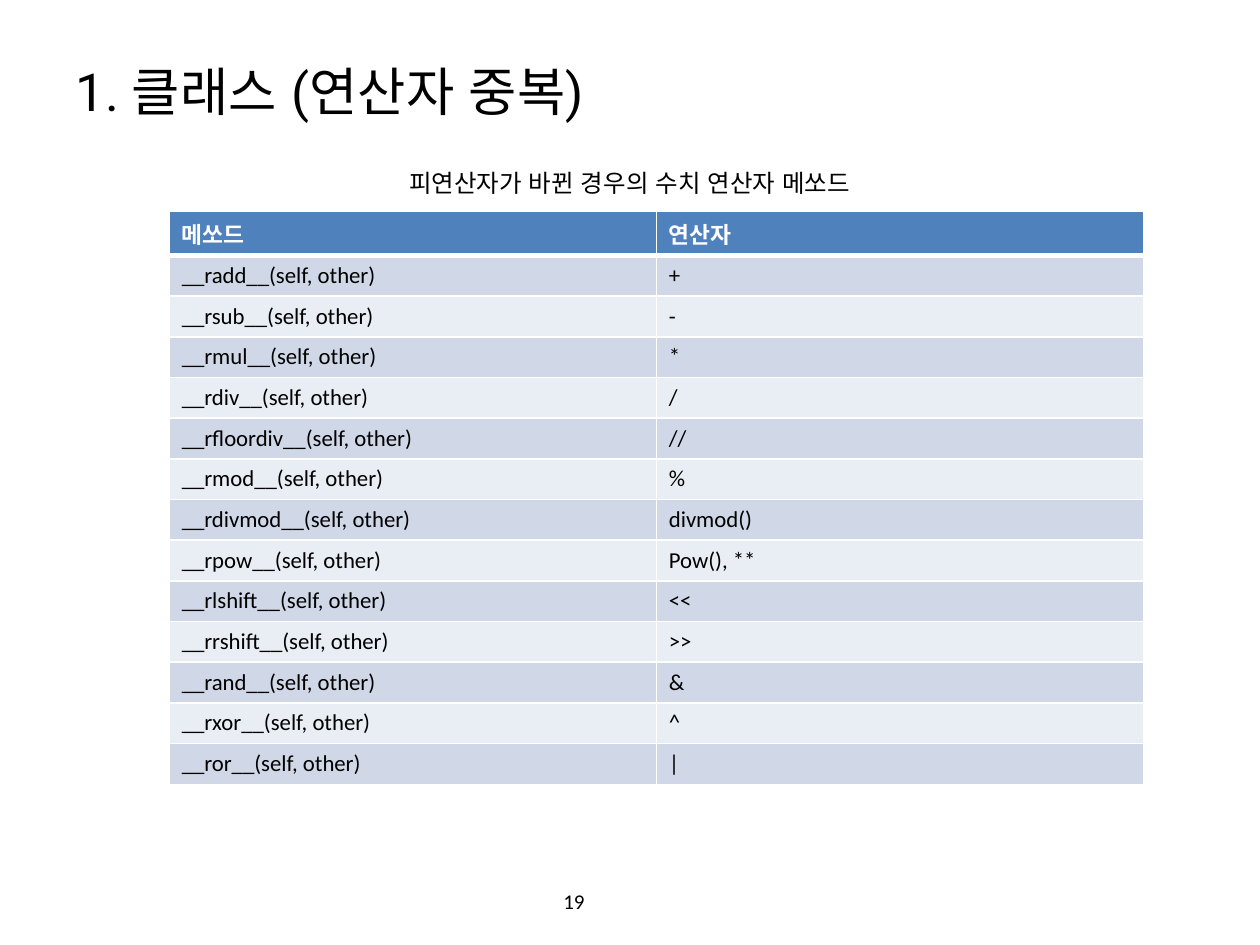
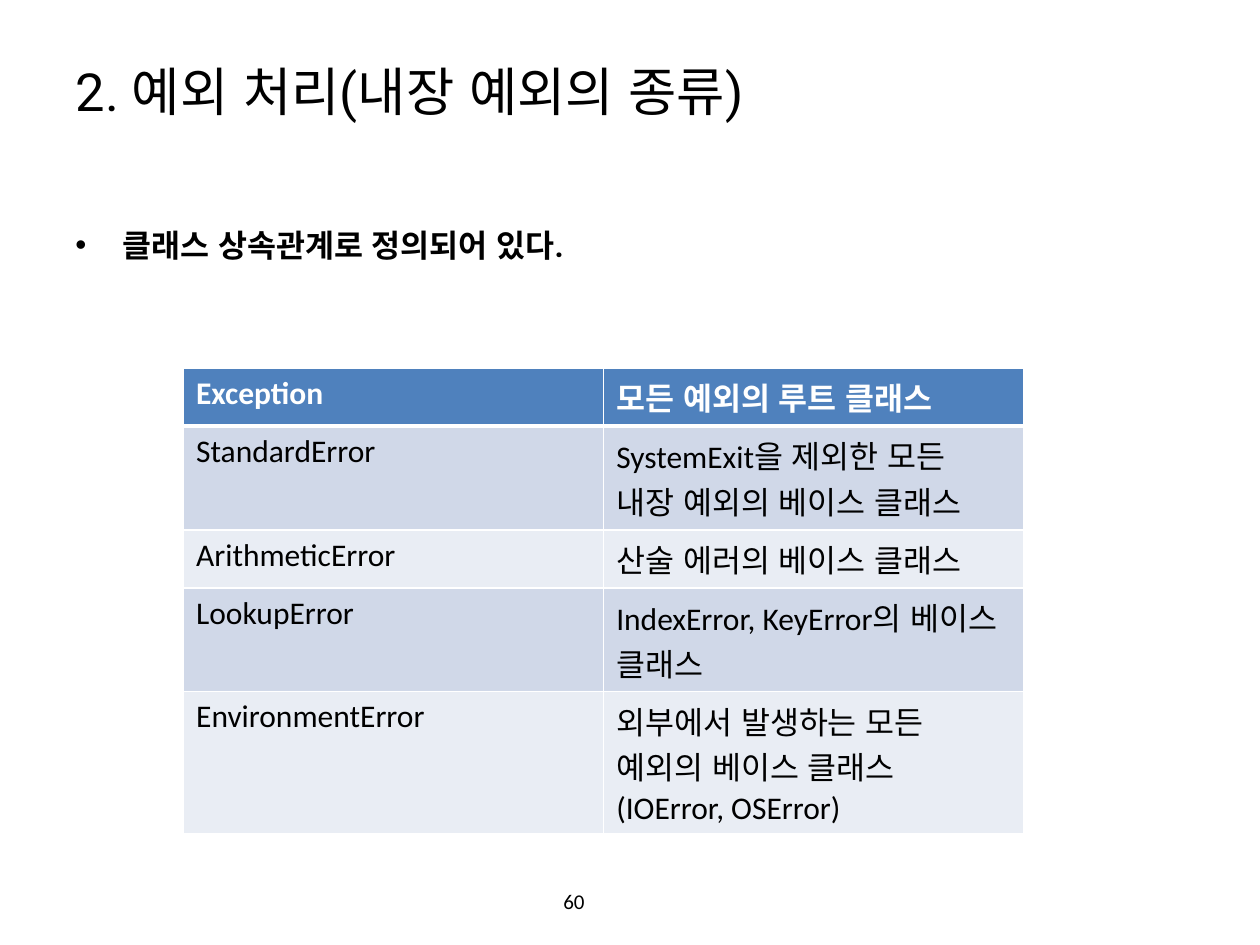
"""Build two lecture slides on Python operator overloading and built-in exceptions."""
from dataclasses import dataclass

from lxml import etree
from pptx import Presentation
from pptx.dml.color import RGBColor
from pptx.enum.lang import MSO_LANGUAGE_ID
from pptx.enum.text import MSO_ANCHOR, PP_ALIGN
from pptx.oxml.ns import qn
from pptx.util import Cm, Pt

LEFT, CENTER = PP_ALIGN.LEFT, PP_ALIGN.CENTER
TOP, MIDDLE = MSO_ANCHOR.TOP, MSO_ANCHOR.MIDDLE
KOREAN = MSO_LANGUAGE_ID.KOREAN
TITLE_ONLY = 5


@dataclass(frozen=True)
class Theme:
    """Colours, fonts and type sizes shared by the slides."""
    ink: str = "000000"
    paper: str = "FFFFFF"
    header: str = "4F81BD"
    bands: tuple = ("D0D8E8", "E9EDF4")
    text_font: str = "Roboto"
    table_font: str = "Calibri"
    title_size: int = 30
    body_size: int = 18
    caption_size: int = 14
    small_table_size: int = 13
    number_size: int = 12
    thin: int = 1
    thick: int = 3


class Deck:
    """Holds the theme, the presentation and the current slide."""

    def __init__(self, theme):
        self.theme = theme
        self.presentation = Presentation()
        self.presentation.slide_width = Cm(25.4)
        self.presentation.slide_height = Cm(19.05)
        self.slide = None

    def style(self, paragraph, size, font, color=None, bold=False, align=LEFT):
        """Format a whole paragraph and mark its runs as Korean."""
        paragraph.alignment = align
        paragraph.font.size = Pt(size)
        paragraph.font.name = font
        paragraph.font.bold = bold
        paragraph.font.color.rgb = RGBColor.from_string(color or self.theme.ink)
        for run in paragraph.runs:
            run.font.language_id = KOREAN

    def add_slide(self, title, number):
        """Start a slide with its title and page number."""
        layout = self.presentation.slide_layouts[TITLE_ONLY]
        self.slide = self.presentation.slides.add_slide(layout)
        shape = self.slide.shapes.title
        shape.left, shape.top = Cm(1.27), Cm(0.76)
        shape.width, shape.height = Cm(22.86), Cm(2.13)
        shape.text_frame.text = title
        shape.text_frame.vertical_anchor = MIDDLE
        self.style(shape.text_frame.paragraphs[0], self.theme.title_size, self.theme.text_font)
        self.add_text(str(number), (8.61, 17.65, 5.92, 1.02), self.theme.number_size,
                      self.theme.table_font, align=CENTER, anchor=MIDDLE)

    def add_text(self, text, box, size, font, bold=False, align=LEFT, anchor=TOP, inset=0.13):
        """Add a one-paragraph text box and return its paragraph."""
        frame = self.slide.shapes.add_textbox(*map(Cm, box)).text_frame
        frame.word_wrap = True
        frame.vertical_anchor = anchor
        frame.margin_top = Cm(inset)
        paragraph = frame.paragraphs[0]
        paragraph.text = text
        self.style(paragraph, size, font, bold=bold, align=align)
        return paragraph

    def add_caption(self, text, box):
        """Add an indented caption above a table."""
        paragraph = self.add_text(text, box, self.theme.caption_size,
                                  self.theme.text_font, inset=0.82)
        paragraph._p.get_or_add_pPr().set("marL", str(Cm(1.27)))

    def add_bullet(self, text, box):
        """Add a bold bulleted statement."""
        paragraph = self.add_text(text, box, self.theme.body_size,
                                  self.theme.text_font, bold=True, inset=1.1)
        properties = paragraph._p.get_or_add_pPr()
        properties.set("marL", str(Cm(0.95)))
        properties.set("indent", str(-Cm(0.95)))
        etree.SubElement(properties, qn("a:buFont")).set("typeface", "Arial")
        etree.SubElement(properties, qn("a:buChar")).set("char", "•")

    def add_borders(self, cell, top, bottom):
        """Draw the light rules around a cell."""
        properties = cell._tc.get_or_add_tcPr()
        sides = {"L": self.theme.thin, "R": self.theme.thin, "T": top, "B": bottom}
        for side, width in sides.items():
            line = etree.SubElement(properties, qn(f"a:ln{side}"), w=str(Pt(width)))
            fill = etree.SubElement(line, qn("a:solidFill"))
            etree.SubElement(fill, qn("a:srgbClr"), val=self.theme.paper)

    def add_table(self, rows, left, top, column_width, row_heights, size):
        """Add a banded table whose first row is the header."""
        theme = self.theme
        columns = len(rows[0])
        table = self.slide.shapes.add_table(
            len(rows), columns, Cm(left), Cm(top),
            Cm(column_width * columns), Cm(sum(row_heights))).table
        for column in table.columns:
            column.width = Cm(column_width)
        for row_index, (values, height) in enumerate(zip(rows, row_heights)):
            table.rows[row_index].height = Cm(height)
            is_header = row_index == 0
            color = theme.header if is_header else theme.bands[(row_index - 1) % 2]
            for column_index, value in enumerate(values):
                cell = table.cell(row_index, column_index)
                paragraph = cell.text_frame.paragraphs[0]
                paragraph.text = value
                self.style(paragraph, size, theme.table_font,
                           theme.paper if is_header else theme.ink, is_header)
                self.add_borders(cell, theme.thick if row_index == 1 else theme.thin,
                                 theme.thick if is_header else theme.thin)
                cell.fill.solid()
                cell.fill.fore_color.rgb = RGBColor.from_string(color)


REVERSED_OPERATORS = {
    "add": "+", "sub": "-", "mul": "*", "div": "/", "floordiv": "//",
    "mod": "%", "divmod": "divmod()", "pow": "Pow(), **",
    "lshift": "<<", "rshift": ">>", "and": "&", "xor": "^", "or": "|",
}

EXCEPTIONS = [
    ("Exception", "모든 예외의 루트 클래스"),
    ("StandardError", "SystemExit을 제외한 모든 내장 예외의 베이스 클래스"),
    ("ArithmeticError", "산술 에러의 베이스 클래스"),
    ("LookupError", "IndexError, KeyError의 베이스 클래스"),
    ("EnvironmentError", "외부에서 발생하는 모든 예외의 베이스 클래스\v(IOError, OSError)"),
]


def main():
    """Build both slides and save the file."""
    theme = Theme()
    deck = Deck(theme)

    deck.add_slide("1. 클래스 (연산자 중복)", 19)
    deck.add_caption("피연산자가 바뀐 경우의 수치 연산자 메쏘드", (6.73, 2.57, 12.42, 1.65))
    methods = [(f"__r{name}__(self, other)", operator)
               for name, operator in REVERSED_OPERATORS.items()]
    deck.add_table([("메쏘드", "연산자")] + methods, 3.41, 4.26, 9.82,
                   [0.89] + [0.82] * len(methods), theme.small_table_size)

    deck.add_slide("2. 예외 처리(내장 예외의 종류)", 60)
    deck.add_bullet("클래스 상속관계로 정의되어 있다.", (1.27, 3.45, 22.86, 13.56))
    deck.add_table(EXCEPTIONS, 3.7, 7.42, 8.47, [1.17, 2.09, 1.17, 2.09, 2.86],
                   theme.body_size)

    deck.presentation.save("out.pptx")


if __name__ == "__main__":
    main()
